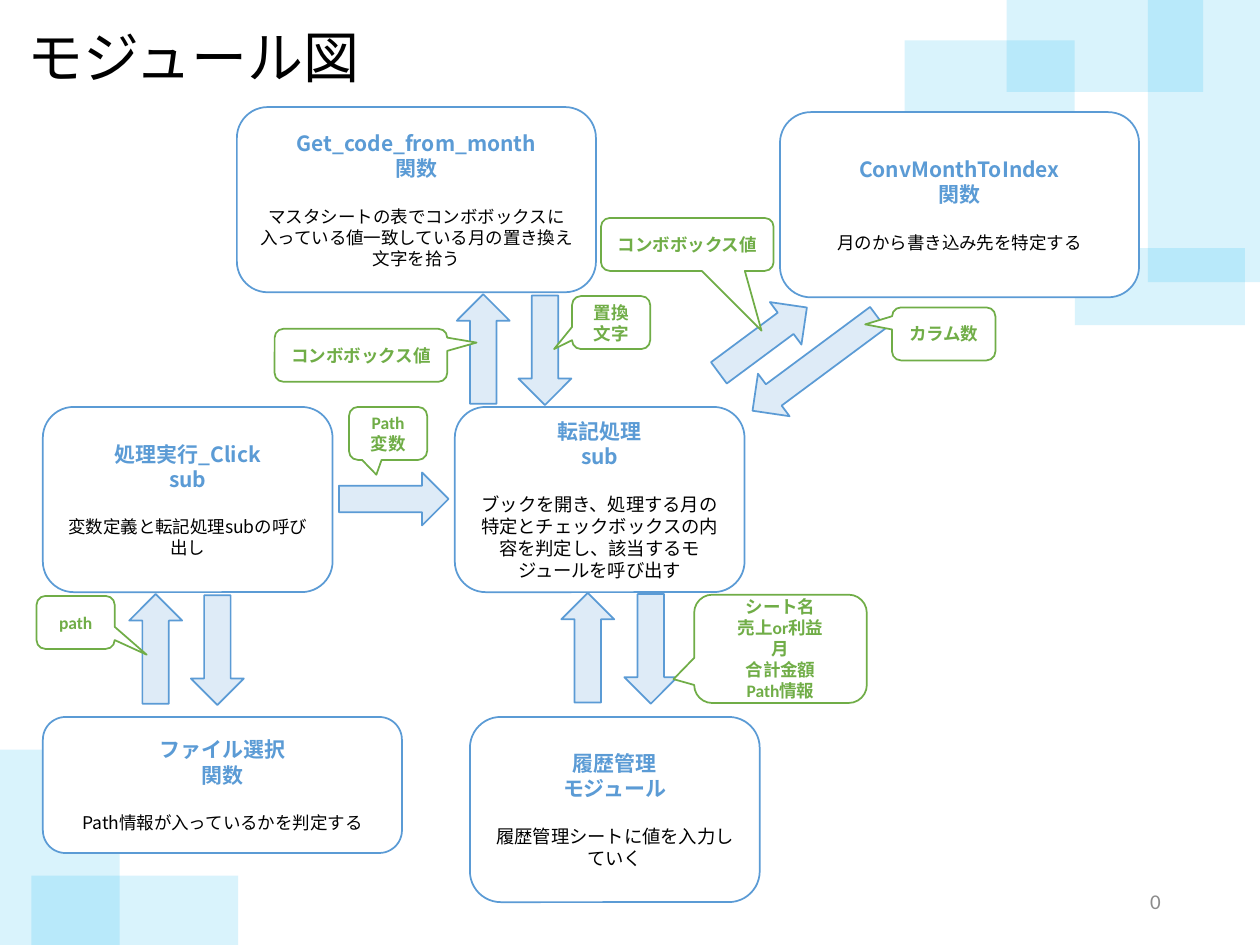
from pptx import Presentation
from pptx.dml.color import RGBColor
from pptx.enum.shapes import MSO_SHAPE
from pptx.enum.text import MSO_ANCHOR, PP_ALIGN
from pptx.oxml.ns import qn
from pptx.util import Inches, Pt
from lxml import etree

RECT, ROUND = MSO_SHAPE.RECTANGLE, MSO_SHAPE.ROUNDED_RECTANGLE
ARROW, CALL = MSO_SHAPE.RIGHT_ARROW, MSO_SHAPE.ROUNDED_RECTANGULAR_CALLOUT
MIDDLE, TOP = MSO_ANCHOR.MIDDLE, MSO_ANCHOR.TOP
LEFT, CENTER, RIGHT = PP_ALIGN.LEFT, PP_ALIGN.CENTER, PP_ALIGN.RIGHT
WHITE, BLACK = RGBColor(255, 255, 255), RGBColor(0, 0, 0)
BLUE, PALE = RGBColor(0x5B, 0x9B, 0xD5), RGBColor(0xDE, 0xEB, 0xF7)
GREEN, GRAY = RGBColor(0x70, 0xAD, 0x47), RGBColor(0x8C, 0x8C, 0x8C)
CYAN = RGBColor(0, 0xB0, 0xF0)
SANS, LATIN = "Noto Sans CJK JP", "Calibri"

# Background tiles: left, top, width, height
TILES = [
    (8.53, 1.97, 1.35, 0.61), (9.11, 0, 0.89, 2.24), (7.99, -0.01, 1.56, 0.74),
    (7.18, 0.32, 1.35, 0.61), (0, 5.95, 0.95, 1.55), (0.25, 6.95, 1.64, 0.56),
]
WIDE, SLIM, TALL, LOW = 2.85, 2.3, 1.47, 1.08
# Modules: left, top, width, height, name lines, body, body size
MODULES = [
    (1.88, 0.85, WIDE, TALL, ["Get_code_from_month", "関数"],
     "マスタシートの表でコンボボックスに入っている値一致している月の置き換え文字を拾う", 10),
    (0.34, 3.23, SLIM, TALL, ["処理実行_Click", "sub"],
     "変数定義と転記処理subの呼び出し", 10),
    (3.61, 3.23, SLIM, TALL, ["転記処理", "sub"],
     "ブックを開き、処理する月の特定とチェックボックスの内容を判定し、"
     "該当するモジュールを呼び出す", 10.5),
    (6.19, 0.89, WIDE, TALL, ["ConvMonthToIndex", "関数"],
     "月のから書き込み先を特定する", 10),
    (0.34, 5.69, WIDE, LOW, ["ファイル選択", "関数"],
     "Path情報が入っているかを判定する", 10),
    (3.73, 5.69, SLIM, TALL, ["履歴管理", "モジュール"],
     "履歴管理シートに値を入力していく", 10.5),
]
THICK, SHORT, LONG = 0.42, 0.87, 1.24
# Arrows: left, top, length, turn
ARROWS = [
    (2.69, 3.75, SHORT, 0), (3.4, 2.56, SHORT, 270), (3.89, 2.57, SHORT, 90),
    (5.62, 2.49, SHORT, 323.4), (5.85, 2.68, LONG, 143.4),
    (0.8, 4.94, SHORT, 270), (1.29, 4.95, SHORT, 90),
    (4.23, 4.93, SHORT, 270), (4.73, 4.94, SHORT, 90),
]
# Callouts: left, top, width, height, tip x, tip y, lines
CALLS = [
    (2.77, 3.23, 0.62, 0.42, -0.15, 0.78, ["Path変数"]),
    (2.18, 2.61, 1.37, 0.42, 0.67, -0.24, ["コンボボックス値"]),
    (4.54, 2.35, 0.62, 0.42, -0.73, 0.5, ["置換文字"]),
    (4.77, 1.73, 1.37, 0.42, 0.43, 1.63, ["コンボボックス値"]),
    (7.08, 2.44, 0.82, 0.42, -0.76, -0.18, ["カラム数"]),
    (0.29, 4.73, 0.62, 0.42, 0.91, 0.61, ["path"]),
    (5.51, 4.72, 1.37, 0.86, -0.62, 0.28,
     ["シート名", "売上or利益", "月", "合計金額", "Path情報"]),
]
# Plain texts: box, text, size, font, colour, alignment, anchor
TEXTS = [
    ((7.06, 6.95, 2.25, 0.4), "0", 12, LATIN, GRAY, RIGHT, MIDDLE),
    ((0.12, 0.13, 6.37, 0.64), "モジュール図", 32, SANS, BLACK, LEFT, TOP),
]

prs = Presentation()
prs.slide_width, prs.slide_height = Inches(10), Inches(7.5)
shapes = prs.slides.add_slide(prs.slide_layouts[6]).shapes


def draw(kind, box, fill, line=None):
    shape = shapes.add_shape(kind, *map(Inches, box))
    shape.shadow.inherit = False
    shape.fill.solid()
    shape.fill.fore_color.rgb = fill
    if line is None:
        shape.line.fill.background()
    else:
        shape.line.color.rgb = line
        shape.line.width = Pt(1)
    return shape


def write(shape, rows, align=CENTER, anchor=MIDDLE):
    """Each row is text, size, font, colour, bold, space before."""
    frame = shape.text_frame
    frame.word_wrap = True
    frame.vertical_anchor = anchor
    for i, (text, size, face, color, bold, gap) in enumerate(rows):
        para = frame.paragraphs[0] if i == 0 else frame.add_paragraph()
        para.text = text
        para.alignment = align
        para.space_before = Pt(gap)
        font = para.font
        font.size, font.name, font.bold = Pt(size), face, bold
        font.color.rgb = color


# Background
for box in TILES:
    tile = draw(RECT, box, CYAN)
    color = tile.fill._xPr.find(qn("a:solidFill"))[0]
    etree.SubElement(color, qn("a:alpha")).set("val", "15000")

# Modules
for *box, names, body, size in MODULES:
    rows = [(name, 12, SANS, BLUE, True, 0) for name in names]
    rows.append((body, size, SANS, BLACK, False, 14))
    write(draw(ROUND, box, WHITE, BLUE), rows)

# Title and page number
for box, text, size, face, color, align, anchor in TEXTS:
    label = shapes.add_textbox(*map(Inches, box))
    write(label, [(text, size, face, color, False, 0)], align, anchor)

# Arrows
for left, top, length, turn in ARROWS:
    draw(ARROW, (left, top, length, THICK), PALE, BLUE).rotation = turn

# Callouts
for *box, tip_x, tip_y, lines in CALLS:
    call = draw(CALL, box, WHITE, GREEN)
    call.adjustments[0], call.adjustments[1] = tip_x, tip_y
    write(call, [(line, 10, LATIN, GREEN, True, 0) for line in lines])

prs.save("out.pptx")
